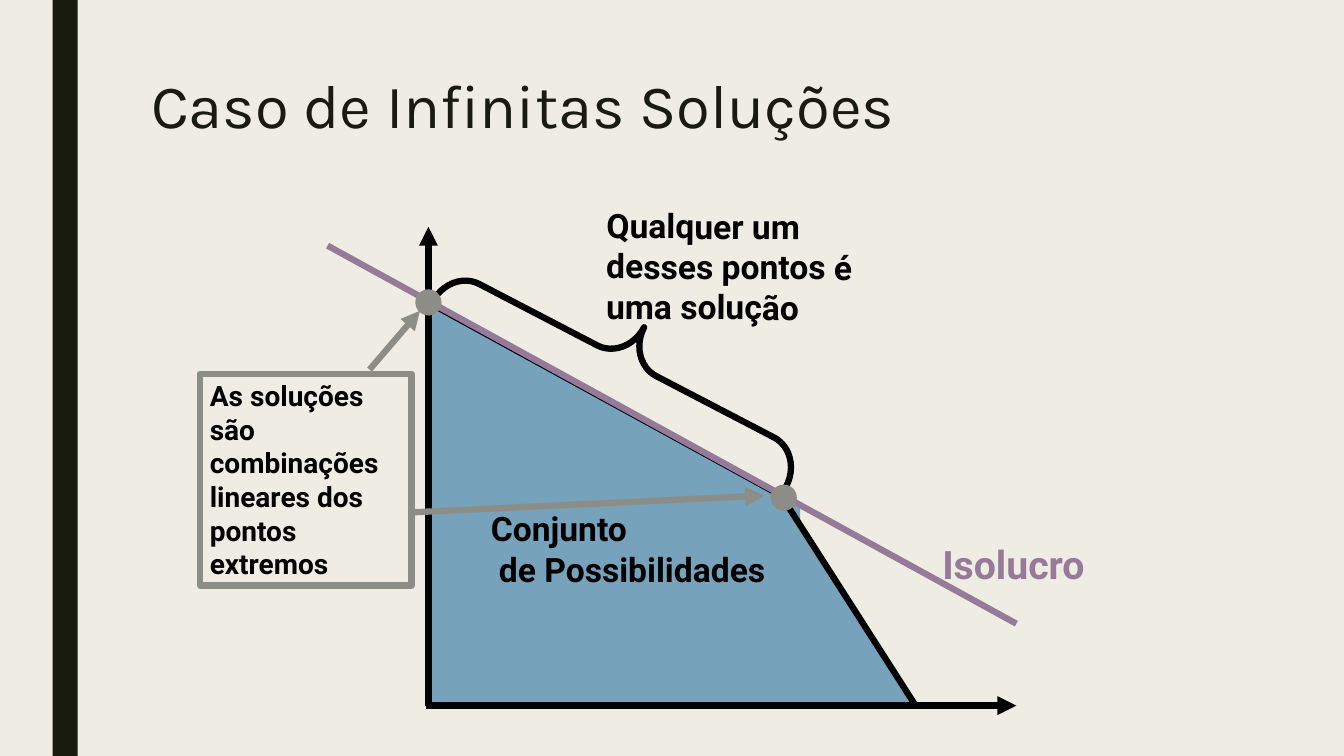
from lxml.etree import SubElement
from pptx import Presentation
from pptx.dml.color import RGBColor
from pptx.enum.shapes import MSO_CONNECTOR, MSO_SHAPE as SHAPE
from pptx.enum.text import MSO_ANCHOR, PP_ALIGN
from pptx.oxml.ns import qn
from pptx.util import Inches, Pt

COLUMNS, ROWS = 160, 90  # square cells, twelve to the inch
INK, PAPER, BLACK = "191B0E", "EFEDE3", "000000"
BLUE, GRAY, PURPLE = "77A2BB", "8C8D86", "957A99"
THICK, THIN = 4.5, 0.75

ORIGIN, AXIS_TOP, AXIS_RIGHT = (51, 84), (51, 27), (121, 84)
TOP_CORNER, MIDDLE_CORNER, BASE_CORNER = (51, 36), (93, 59), (109, 84)


def cells(*counts):
    return [Inches(count / 12) for count in counts]


def color(hex_string):
    return RGBColor.from_string(hex_string)


def paint(shape, fill=None, line=None, weight=THICK):
    shape.shadow.inherit = False
    if fill:
        shape.fill.solid()
        shape.fill.fore_color.rgb = color(fill)
    else:
        shape.fill.background()
    if line:
        shape.line.color.rgb = color(line)
        shape.line.width = Pt(weight)
    else:
        shape.line.fill.background()


def add_preset(slide, kind, box, rotation=0, **style):
    shape = slide.shapes.add_shape(kind, *cells(*box))
    shape.rotation = rotation
    paint(shape, **style)
    return shape


def write(shape, text, size, ink=BLACK, font="Roboto", bold=True):
    frame = shape.text_frame
    frame.word_wrap = True
    frame.vertical_anchor = MSO_ANCHOR.TOP
    frame.text = text
    for paragraph in frame.paragraphs:
        paragraph.alignment = PP_ALIGN.LEFT
        for run in paragraph.runs:
            run.font.name, run.font.size, run.font.bold = font, Pt(size), bold
            run.font.color.rgb = color(ink)
    return frame


def add_label(slide, box, text, size, rotation=0, **style):
    label = slide.shapes.add_textbox(*cells(*box))
    label.rotation = rotation
    return write(label, text, size, **style)


def add_line(slide, start, end, ink=BLACK, arrow=False):
    line = slide.shapes.add_connector(MSO_CONNECTOR.STRAIGHT, *cells(*start, *end))
    line.line.color.rgb = color(ink)
    line.line.width = Pt(THICK)
    properties = line._element.spPr
    if arrow:
        SubElement(properties.find(qn("a:ln")), qn("a:tailEnd"), type="triangle")
    SubElement(properties, qn("a:effectLst"))


def add_title(slide, text):
    frame = add_label(slide, (18, 9, 126, 19.4), text, 44,
                      ink=INK, font="Karla", bold=False)
    frame.margin_left = frame.margin_right = 0
    frame.margin_top = frame.margin_bottom = 0
    frame.paragraphs[0].line_spacing = 0.89


def add_feasible_region(slide):
    corners = [cells(*corner) for corner in
               (ORIGIN, BASE_CORNER, (92.6, 58.7), TOP_CORNER)]
    outline = slide.shapes.build_freeform(*corners[0])
    outline.add_line_segments(corners[1:], close=True)
    paint(outline.convert_to_shape(), BLUE, BLACK, THIN)

    name = add_preset(slide, SHAPE.RECTANGLE, (57.25, 59.9, 38, 10.8), fill=BLUE)
    frame = write(name, "Conjunto\nde Possibilidades", 24)
    frame.paragraphs[1]._p.get_or_add_pPr().set("marL", str(Inches(0.08)))

    add_line(slide, TOP_CORNER, MIDDLE_CORNER)
    add_line(slide, MIDDLE_CORNER, BASE_CORNER)


def add_axes(slide):
    add_line(slide, ORIGIN, AXIS_TOP, arrow=True)
    add_line(slide, (50.7, 84), AXIS_RIGHT, arrow=True)


def add_solution_brace(slide):
    brace = add_preset(slide, SHAPE.LEFT_BRACE, (70.1, 19.2, 9, 47.5),
                       rotation=117.5, line=BLACK)
    brace.adjustments[0] = 0.44
    add_label(slide, (71, 23.9, 36, 15.6),
              "Qualquer um desses pontos é uma solução", 24, rotation=0.3)


def add_corner_note(slide):
    note = add_preset(slide, SHAPE.RECTANGLE, (23.8, 44.5, 25.2, 25.2), line=GRAY)
    write(note, "As soluções são combinações lineares dos pontos extremos", 20)
    add_line(slide, (44, 44), (50, 37), GRAY, arrow=True)
    add_line(slide, (49, 61), (91, 59), GRAY, arrow=True)


def add_isoprofit(slide):
    add_line(slide, (39, 29.25), (121, 74.25), PURPLE)
    add_label(slide, (111, 63.7, 21.6, 6.7), "Isolucro", 28, ink=PURPLE)


def add_corner_dot(slide, center):
    x, y = center
    add_preset(slide, SHAPE.OVAL, (x - 1.5, y - 1.5, 3, 3),
               fill=GRAY, line=GRAY, weight=THIN)


def main():
    deck = Presentation()
    deck.slide_width, deck.slide_height = cells(COLUMNS, ROWS)
    slide = deck.slides.add_slide(deck.slide_layouts[6])
    slide.background.fill.solid()
    slide.background.fill.fore_color.rgb = color(PAPER)

    add_preset(slide, SHAPE.RECTANGLE, (6.25, 0, 3, ROWS), fill=INK)
    add_title(slide, "Caso de Infinitas Soluções")
    add_feasible_region(slide)
    add_axes(slide)
    add_solution_brace(slide)
    add_corner_note(slide)
    add_isoprofit(slide)
    for center in ((93.3, 59.25), TOP_CORNER):
        add_corner_dot(slide, center)
    deck.save("out.pptx")


if __name__ == "__main__":
    main()
